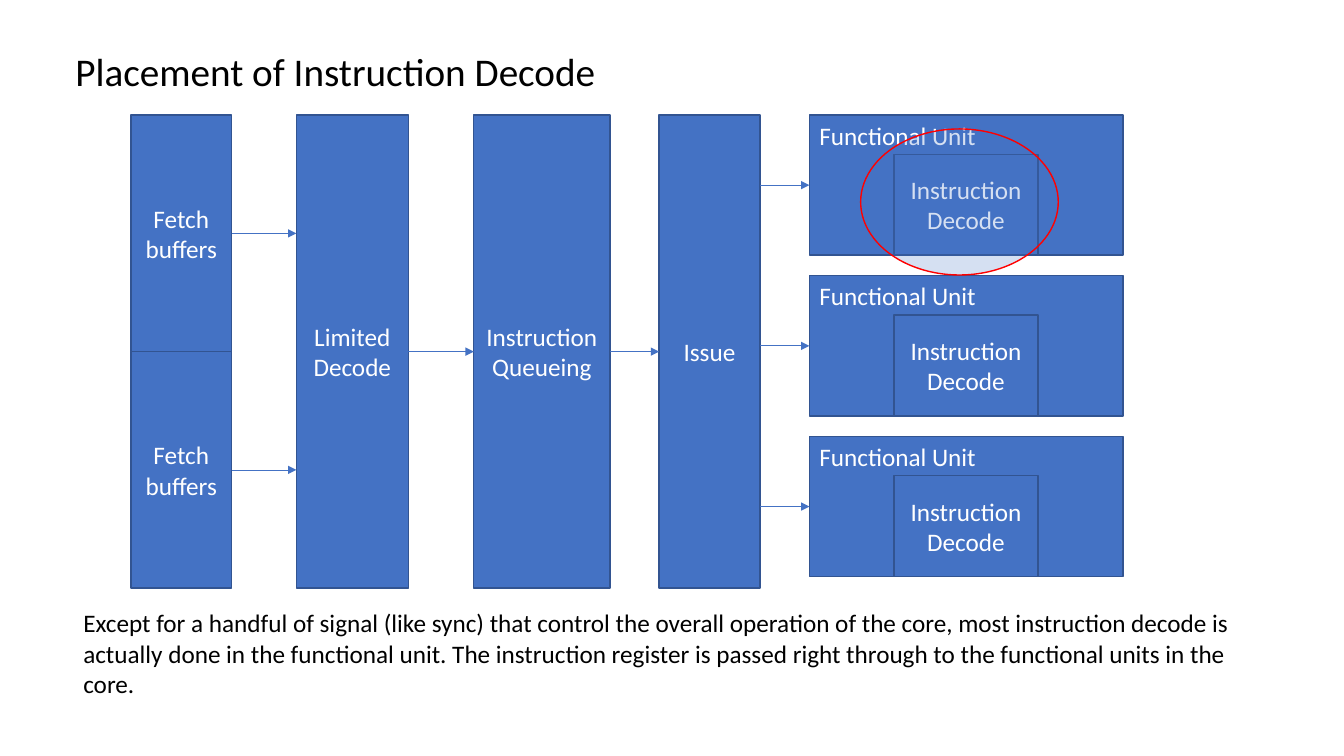
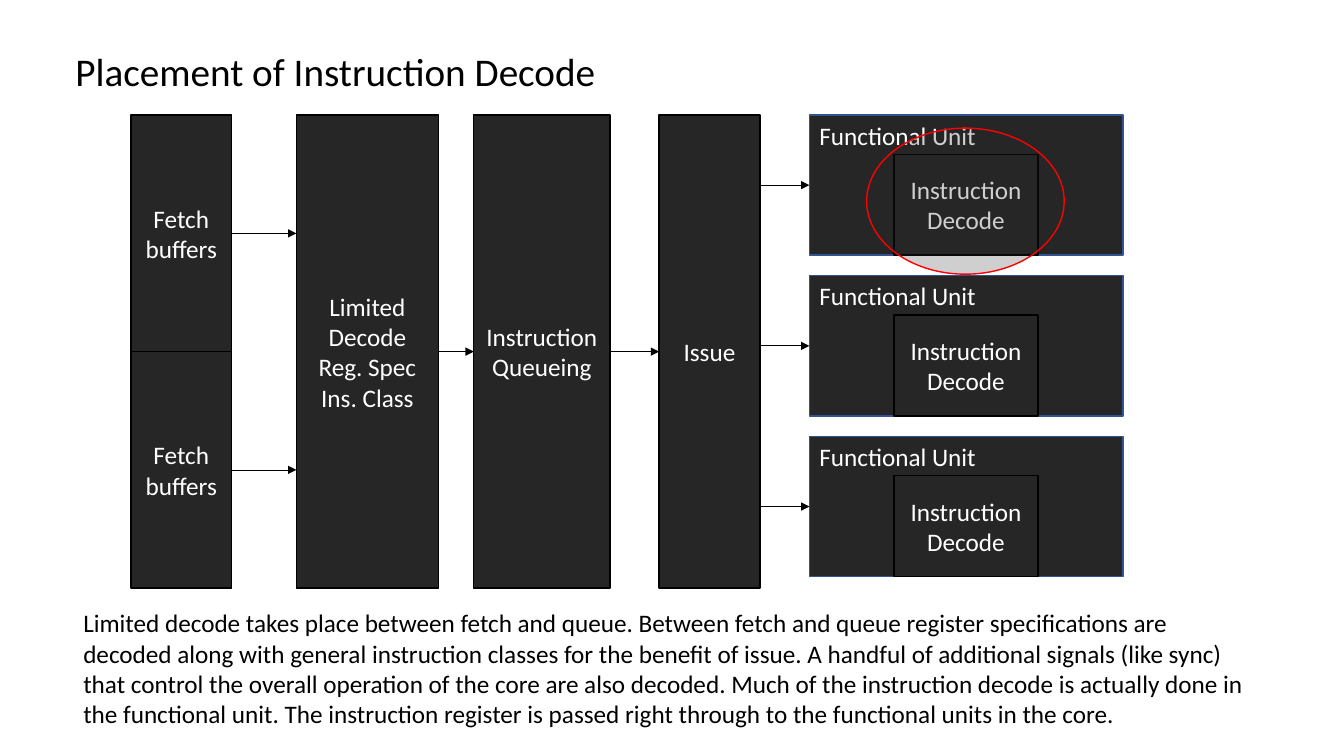
from dataclasses import dataclass

from lxml import etree
from pptx import Presentation
from pptx import util as u
from pptx.dml.color import RGBColor
from pptx.enum import shapes, text
from pptx.oxml import ns
from pptx.shapes.autoshape import Shape
from pptx.slide import Slide
from pptx.text.text import TextFrame

BLACK = RGBColor(0x00, 0x00, 0x00)
WHITE = RGBColor(0xFF, 0xFF, 0xFF)
BLUE = RGBColor(0x44, 0x72, 0xC4)
NAVY = RGBColor(0x32, 0x54, 0x91)
CHARCOAL = RGBColor(0x26, 0x26, 0x26)
RED = RGBColor(0xFF, 0x00, 0x00)

FONT = "Calibri"
TITLE = "Placement of Instruction Decode"
TITLE_SIZE = 28
BODY_SIZE = 18
HIGHLIGHT_OPACITY = 22

TOP = 2.9
STAGE_HEIGHT = 11.92
FETCH_HEIGHT = STAGE_HEIGHT / 2
UNIT_COUNT = 3
UNIT_PITCH = 4.05
DECODE_DROP = 0.99


@dataclass(frozen=True)
class Area:
    left: float
    top: float
    width: float
    height: float

    @property
    def right(self) -> float:
        return self.left + self.width

    @property
    def middle(self) -> float:
        return self.top + self.height / 2

    def lengths(self) -> tuple[u.Length, ...]:
        return tuple(u.Cm(n) for n in (self.left, self.top, self.width, self.height))


@dataclass(frozen=True)
class Palette:
    fill: RGBColor
    outline: RGBColor
    arrow: RGBColor


@dataclass(frozen=True)
class Pipeline:
    palette: Palette
    limited_lines: tuple[str, ...]
    limited_width: float
    highlight: Area
    caption: str
    caption_height: float


def write(frame: TextFrame, lines: tuple[str, ...], size: float,
          color: RGBColor, align: text.PP_ALIGN) -> None:
    for index, line in enumerate(lines):
        para = frame.add_paragraph() if index else frame.paragraphs[0]
        para.alignment = align
        span = para.add_run()
        span.text = line
        span.font.name = FONT
        span.font.size = u.Pt(size)
        span.font.color.rgb = color


def add_figure(page: Slide, kind: shapes.MSO_SHAPE, area: Area,
               fill: RGBColor, outline: RGBColor) -> Shape:
    figure = page.shapes.add_shape(kind, *area.lengths())
    figure.shadow.inherit = False
    figure.fill.solid()
    figure.fill.fore_color.rgb = fill
    figure.line.color.rgb = outline
    figure.line.width = u.Pt(1)
    return figure


def add_box(page: Slide, area: Area, lines: tuple[str, ...], fill: RGBColor,
            outline: RGBColor, heading: bool = False) -> None:
    box = add_figure(page, shapes.MSO_SHAPE.RECTANGLE, area, fill, outline)
    frame = box.text_frame
    frame.word_wrap = True
    frame.vertical_anchor = text.MSO_ANCHOR.TOP if heading else text.MSO_ANCHOR.MIDDLE
    align = text.PP_ALIGN.LEFT if heading else text.PP_ALIGN.CENTER
    write(frame, lines, BODY_SIZE, WHITE, align)


def add_arrow(page: Slide, start: float, end: float, level: float,
              color: RGBColor) -> None:
    arrow = page.shapes.add_connector(
        shapes.MSO_CONNECTOR.STRAIGHT,
        u.Cm(start), u.Cm(level), u.Cm(end), u.Cm(level))
    arrow.line.color.rgb = color
    arrow.line.width = u.Pt(0.5)
    etree.SubElement(arrow.line._get_or_add_ln(), ns.qn("a:tailEnd"), type="triangle")
    etree.SubElement(arrow.element.spPr, ns.qn("a:effectLst"))


def add_highlight(page: Slide, area: Area, fill: RGBColor) -> None:
    ring = add_figure(page, shapes.MSO_SHAPE.OVAL, area, fill, RED)
    tint = ring.element.spPr.find(f"{ns.qn('a:solidFill')}/{ns.qn('a:srgbClr')}")
    etree.SubElement(tint, ns.qn("a:alpha"), val=str(HIGHLIGHT_OPACITY * 1000))


def add_label(page: Slide, area: Area, wording: str, size: float, wrap: bool) -> None:
    frame = page.shapes.add_textbox(*area.lengths()).text_frame
    frame.word_wrap = wrap
    frame.auto_size = text.MSO_AUTO_SIZE.SHAPE_TO_FIT_TEXT
    write(frame, (wording,), size, BLACK, text.PP_ALIGN.LEFT)


def add_pipeline(page: Slide, pipeline: Pipeline) -> None:
    colors = pipeline.palette
    fetches = [Area(3.3, TOP + row * FETCH_HEIGHT, 2.54, FETCH_HEIGHT) for row in range(2)]
    limited = Area(7.47, TOP, pipeline.limited_width, STAGE_HEIGHT)
    queue = Area(11.94, TOP, 3.43, STAGE_HEIGHT)
    issue = Area(16.61, TOP, 2.54, STAGE_HEIGHT)
    units = [Area(20.4, TOP + row * UNIT_PITCH, 7.9, 3.53) for row in range(UNIT_COUNT)]

    for fetch in fetches:
        add_box(page, fetch, ("Fetch buffers",), colors.fill, colors.outline)
    stages = (
        (limited, pipeline.limited_lines),
        (queue, ("Instruction Queueing",)),
        (issue, ("Issue",)),
    )
    for area, lines in stages:
        add_box(page, area, lines, colors.fill, colors.outline)
    for unit in units:
        add_box(page, unit, ("Functional Unit",), colors.fill, NAVY, heading=True)
        decode = Area(22.53, unit.top + DECODE_DROP, 3.63, 2.54)
        add_box(page, decode, ("Instruction Decode",), colors.fill, colors.outline)

    for unit in units:
        add_arrow(page, issue.right, unit.left, unit.middle, colors.arrow)
    for source, target in ((queue, issue), (limited, queue)):
        add_arrow(page, source.right, target.left, source.middle, colors.arrow)
    for fetch in fetches:
        add_arrow(page, fetch.right, limited.left, fetch.middle, colors.arrow)

    add_label(page, Area(1.65, 1.07, 13.77, 1.45), TITLE, TITLE_SIZE, wrap=False)
    add_highlight(page, pipeline.highlight, colors.fill)
    add_label(page, Area(1.85, 15.19, 30.18, pipeline.caption_height),
              pipeline.caption, BODY_SIZE, wrap=True)


PIPELINES = (
    Pipeline(
        Palette(BLUE, NAVY, BLUE),
        ("Limited Decode",),
        2.82,
        Area(21.69, 3.25, 4.98, 3.68),
        "Except for a handful of signal (like sync) that control the overall "
        "operation of the core, most instruction decode is actually done in the "
        "functional unit. The instruction register is passed right through to "
        "the functional units in the core.",
        2.57,
    ),
    Pipeline(
        Palette(CHARCOAL, BLACK, BLACK),
        ("Limited Decode", "Reg. Spec", "Ins. Class"),
        3.58,
        Area(21.84, 3.23, 4.98, 3.68),
        "Limited decode takes place between fetch and queue. Between fetch and "
        "queue register specifications are decoded along with general "
        "instruction classes for the benefit of issue. A handful of additional "
        "signals (like sync) that control the overall operation of the core are "
        "also decoded. Much of the instruction decode is actually done in the "
        "functional unit. The instruction register is passed right through to "
        "the functional units in the core.",
        3.33,
    ),
)


def main() -> None:
    deck = Presentation()
    deck.slide_width = u.Cm(33.87)
    deck.slide_height = u.Cm(19.05)
    blank = deck.slide_layouts[6]
    for pipeline in PIPELINES:
        add_pipeline(deck.slides.add_slide(blank), pipeline)
    deck.save("out.pptx")


main()
